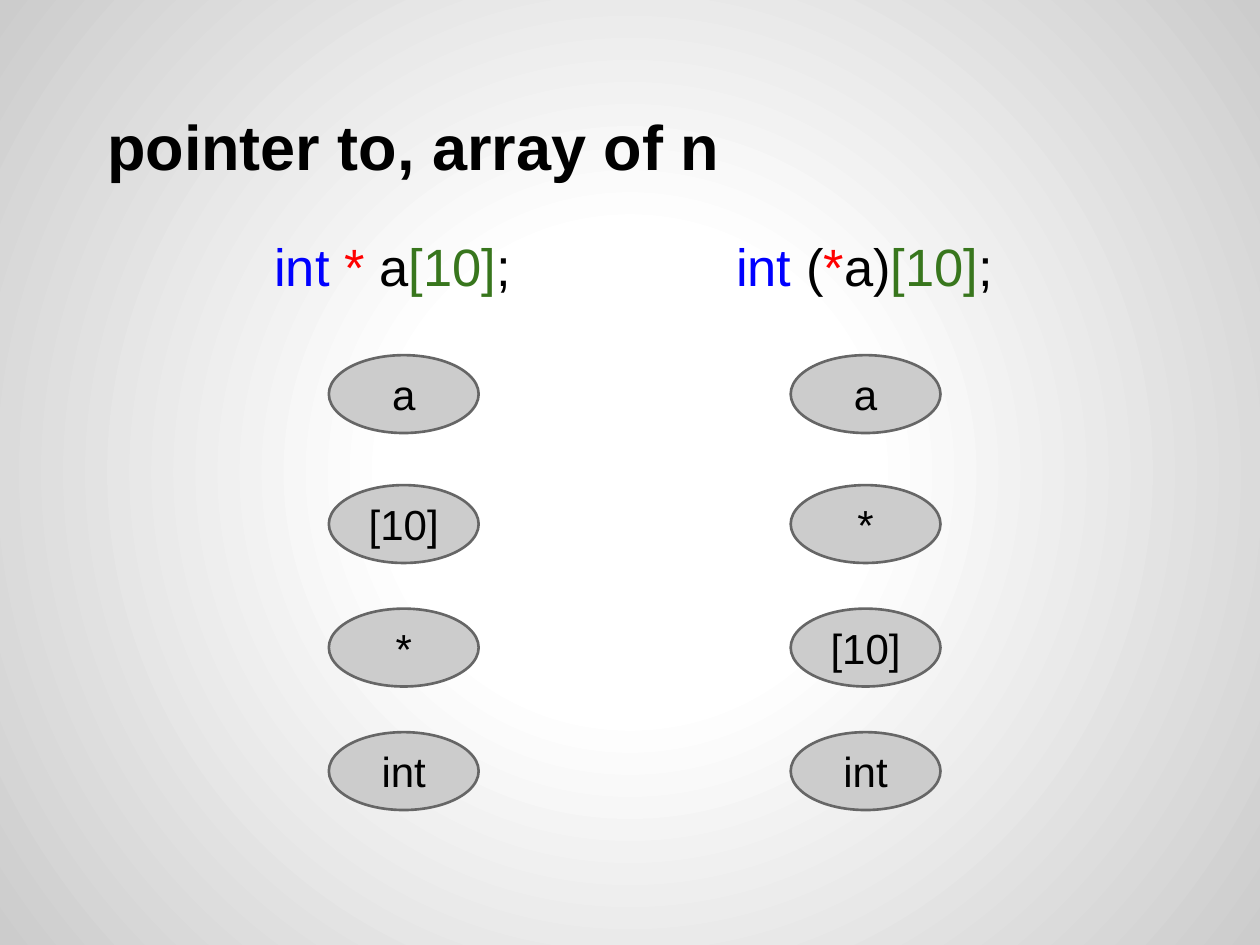
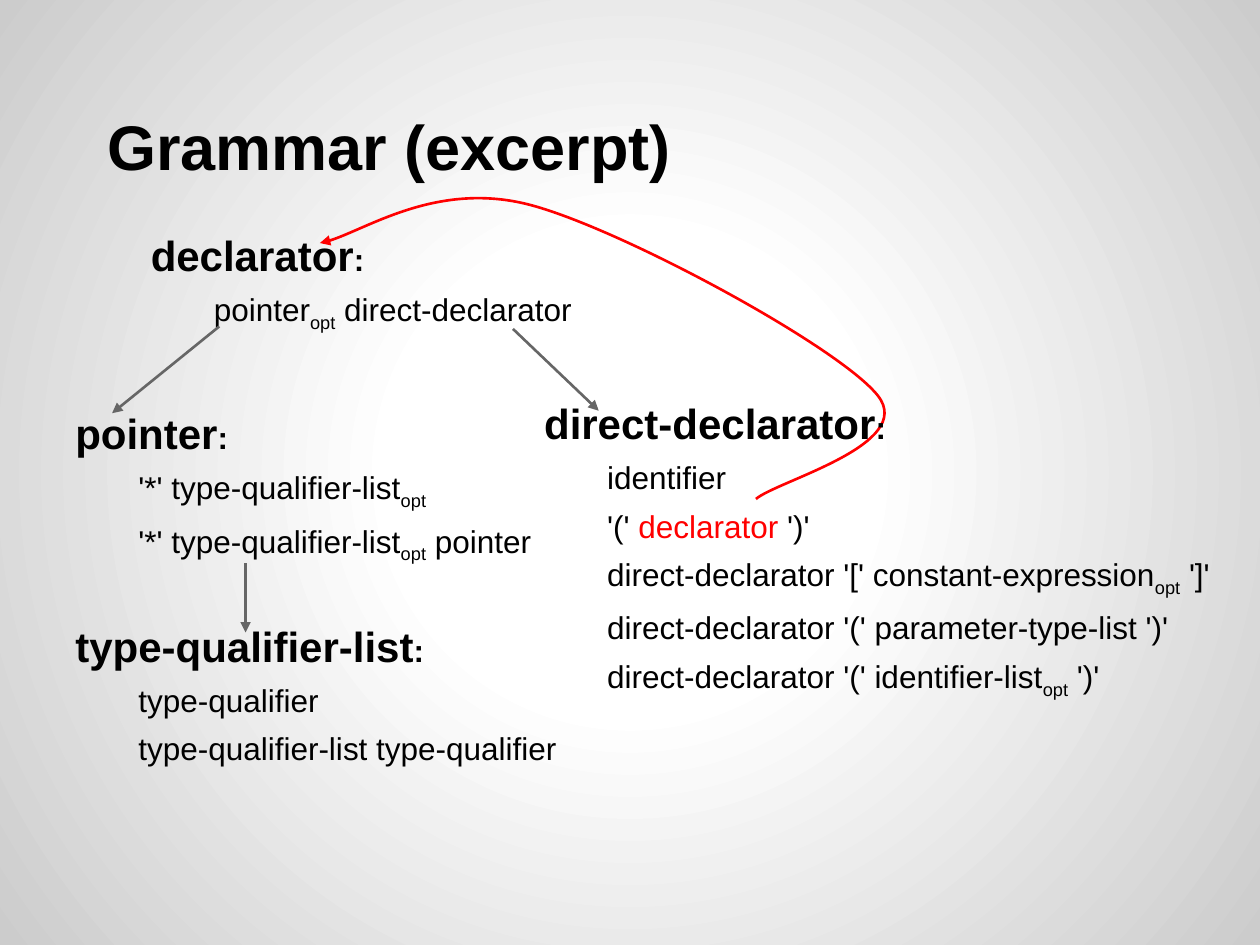
from dataclasses import dataclass
from lxml import etree
from pptx import Presentation
from pptx.dml.color import RGBColor
from pptx.enum.shapes import MSO_CONNECTOR, MSO_SHAPE
from pptx.enum.text import MSO_ANCHOR, MSO_AUTO_SIZE, PP_ALIGN
from pptx.oxml import parse_xml
from pptx.oxml.ns import nsdecls, qn
from pptx.util import Cm, Pt

OVAL = MSO_SHAPE.OVAL
LINE = MSO_CONNECTOR.STRAIGHT
MID, LOW = MSO_ANCHOR.MIDDLE, MSO_ANCHOR.BOTTOM
LEFT, MIDST = PP_ALIGN.LEFT, PP_ALIGN.CENTER
FIXED = MSO_AUTO_SIZE.NONE


@dataclass(frozen=True)
class Theme:
    """Colours, type sizes and font of the deck."""
    font: str = "Arial"
    black: str = "000000"
    white: str = "FFFFFF"
    blue: str = "0000FF"
    red: str = "FF0000"
    green: str = "38761D"
    grey: str = "CCCCCC"
    dark: str = "666666"
    title: int = 36
    code: int = 30
    head: int = 24
    body: int = 18
    gap: int = 6
    rule: float = 1.5


T = Theme()
COLUMN = 9.31
ROWS = (7.16, 9.78, 12.27, 14.76)
OPT = ("opt", {"sub": True})

DECLS = [
    ([("int ", {"color": T.blue}), ("*", {"color": T.red}), (" a", {}),
      ("[10]", {"color": T.green}), (";", {})],
     ["a", "[10]", "*", "int"]),
    ([("int", {"color": T.blue}), (" (", {}), ("*", {"color": T.red}),
      ("a)", {}), ("[10]", {"color": T.green}), (";", {})],
     ["a", "*", "[10]", "int"]),
]

RULES = [
    ("pointer", (1.27, 8.08, 10.8, 3.43), [
        [("'*' type-qualifier-list", {}), OPT],
        [("'*' type-qualifier-list", {}), OPT, (" pointer", {})]]),
    ("direct-declarator", (10.72, 7.62, 15.32, 6.88), [
        [("identifier", {})],
        [("'(' ", {}), ("declarator", {"color": T.red}), (" ')'", {})],
        [("direct-declarator '[' constant-expression", {}), OPT, (" ']'", {})],
        [("direct-declarator '(' parameter-type-list ')'", {})],
        [("direct-declarator '(' identifier-list", {}), OPT, (" ')'", {})]]),
    ("type-qualifier-list", (1.27, 11.94, 10.31, 4.09), [
        [("type-qualifier", {})],
        [("type-qualifier-list type-qualifier", {})]]),
    ("declarator", (2.79, 4.32, 9.88, 2.69), [
        [("pointer", {}), OPT, (" direct-declarator", {})]]),
]

ARROWS = [
    (4.42, 6.58, 2.26, 8.33),
    (4.95, 11.35, 4.95, 12.75),
    (10.34, 6.63, 12.07, 8.28),
]

START = (15.24, 10.06)
BENDS = [
    ((15.65, 9.7), (18.47, 8.97), (17.7, 7.98)),
    ((16.94, 7.01), (12.6, 4.65), (10.72, 4.14)),
    ((8.84, 3.63), (7.16, 4.78), (6.45, 4.9)),
]


def apply(item, values):
    """Set each attribute of an item from a dict."""
    for name, value in values.items():
        setattr(item, name, value)


def lengths(values):
    """Turn numbers into centimetre lengths."""
    return [Cm(value) for value in values]


def paint(master):
    """Give the master its radial background."""
    master.background.fill.solid()
    solid = next(master.element.iter(qn("p:bgPr")))[0]
    stops = "".join(
        f'<a:gs pos="{pos}000"><a:srgbClr val="{color}"/></a:gs>'
        for pos, color in ((0, T.white), (30, T.white), (100, T.grey)))
    glow = parse_xml(
        f'<a:gradFill {nsdecls("a")}><a:gsLst>{stops}</a:gsLst>'
        '<a:path path="circle"><a:fillToRect l="50000" t="50000" '
        'r="50000" b="50000"/></a:path></a:gradFill>')
    solid.getparent().replace(solid, glow)


def frame(shape, anchor=MID):
    """Prepare the text frame of a shape and return it."""
    text = shape.text_frame
    pad = Cm(0.25)
    apply(text, {"word_wrap": True, "auto_size": FIXED,
                 "vertical_anchor": anchor, "margin_left": pad,
                 "margin_right": pad, "margin_top": pad,
                 "margin_bottom": pad})
    return text


def write(para, runs, size, align=LEFT, gap=0, indent=0):
    """Fill a paragraph with runs of formatted text."""
    apply(para, {"alignment": align, "space_before": Pt(gap)})
    props = para._p.get_or_add_pPr()
    props.set("marL", "0")
    props.set("indent", str(Cm(indent)))
    for words, style in runs:
        run = para.add_run()
        run.text = words
        apply(run.font, {"name": T.font, "size": Pt(style.get("size", size)),
                         "bold": style.get("bold", False)})
        run.font.color.rgb = RGBColor.from_string(style.get("color", T.black))
        if style.get("sub"):
            run.font._element.set("baseline", "-25000")


def stroke(shape, color, arrow=False):
    """Draw the line of a shape, with an arrowhead if asked."""
    shape.line.color.rgb = RGBColor.from_string(color)
    shape.line.width = Pt(T.rule)
    if arrow:
        outline = shape.line._get_or_add_ln()
        etree.SubElement(outline, qn("a:tailEnd"), type="triangle")


def start(deck, words, gap=0):
    """Add a slide with its title."""
    slide = deck.slides.add_slide(deck.slide_layouts[5])
    title = slide.shapes.title
    spot = lengths((1.27, 0.76, 22.86, 3.18))
    apply(title, dict(zip(("left", "top", "width", "height"), spot)))
    para = frame(title, LOW).paragraphs[0]
    write(para, [(words, {"bold": True})], T.title, gap=gap, indent=0.64)
    return slide


def code(slide, runs, left):
    """Add a coloured line of code."""
    box = slide.shapes.add_textbox(*lengths((left, 3.38, 6.02, 3.96)))
    write(frame(box).paragraphs[0], runs, T.code)


def node(slide, words, left, top):
    """Add a labelled oval."""
    oval = slide.shapes.add_shape(OVAL, *lengths((left, top, 3.02, 1.57)))
    oval.shadow.inherit = False
    oval.fill.solid()
    oval.fill.fore_color.rgb = RGBColor.from_string(T.grey)
    stroke(oval, T.dark)
    write(frame(oval).paragraphs[0], [(words, {})], T.head, MIDST)


def rule(slide, name, place, forms):
    """Add a grammar rule: its name and indented forms."""
    text = frame(slide.shapes.add_textbox(*lengths(place)))
    head = [(name, {"size": T.head, "bold": True}), (":", {"bold": True})]
    write(text.paragraphs[0], head, T.body, gap=T.gap)
    for runs in forms:
        write(text.add_paragraph(), runs, T.body, gap=T.gap, indent=1.27)


def arrow(slide, ends):
    """Add a straight arrow."""
    line = slide.shapes.add_connector(LINE, *lengths(ends))
    stroke(line, T.dark, True)
    etree.SubElement(line._element.spPr, qn("a:effectLst"))


def curve(slide, first, bends):
    """Add a curved arrow through cubic bends."""
    pen = slide.shapes.build_freeform(*lengths(first))
    pen.add_line_segments([lengths(bend[-1]) for bend in bends], close=False)
    shape = pen.convert_to_shape()
    steps = list(shape._element.iter(qn("a:lnTo")))
    for step, bend in zip(steps, bends):
        step.tag = qn("a:cubicBezTo")
        for index, (x, y) in enumerate(bend[:2]):
            point = etree.Element(qn("a:pt"), x=str(Cm(x) - shape.left),
                                  y=str(Cm(y) - shape.top))
            step.insert(index, point)
    shape.shadow.inherit = False
    shape.fill.background()
    stroke(shape, T.red, True)


def types(deck):
    """Build the slide that compares two declarations."""
    slide = start(deck, "pointer to, array of n", T.gap)
    for index, (runs, names) in enumerate(DECLS):
        shift = index * COLUMN
        for name, top in zip(names, ROWS):
            node(slide, name, 6.63 + shift, top)
        code(slide, runs, 5.28 + shift)


def grammar(deck):
    """Build the slide with the grammar rules."""
    slide = start(deck, "Grammar (excerpt)")
    curve(slide, START, BENDS)
    for name, place, forms in RULES:
        rule(slide, name, place, forms)
    for ends in ARROWS:
        arrow(slide, ends)


def main():
    """Build and save the deck."""
    deck = Presentation()
    apply(deck, {"slide_width": Cm(25.4), "slide_height": Cm(19.05)})
    paint(deck.slide_master)
    types(deck)
    grammar(deck)
    deck.save("out.pptx")


main()
